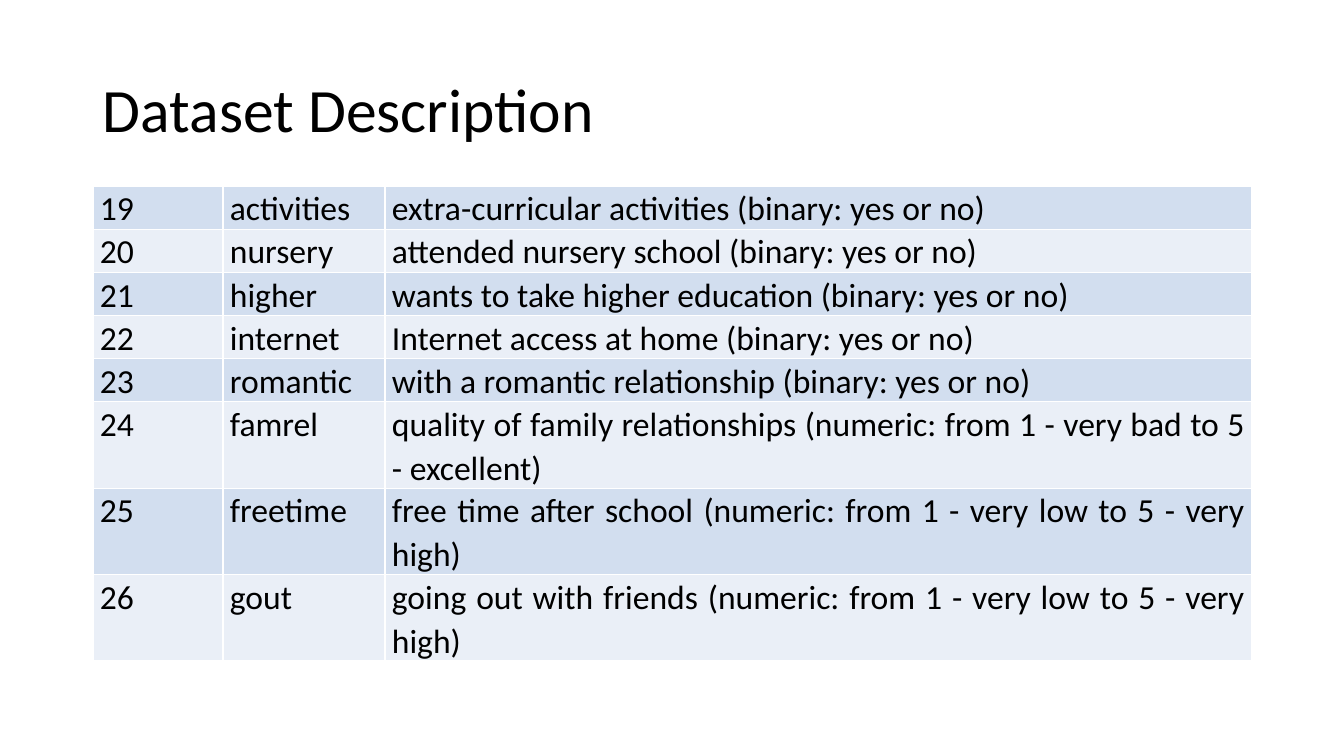
from lxml import etree
from pptx import Presentation
from pptx import util as u
from pptx.dml.color import RGBColor
from pptx.enum import text
from pptx.oxml.ns import qn

# Content
TITLE = "Dataset Description"
ATTRIBUTES = [
    ("19", "activities", "extra-curricular activities (binary: yes or no)"),
    ("20", "nursery", "attended nursery school (binary: yes or no)"),
    ("21", "higher", "wants to take higher education (binary: yes or no)"),
    ("22", "internet", "Internet access at home (binary: yes or no)"),
    ("23", "romantic", "with a romantic relationship (binary: yes or no)"),
    ("24", "famrel", "quality of family relationships (numeric: from 1 - very bad to 5 - excellent)"),
    ("25", "freetime", "free time after school (numeric: from 1 - very low to 5 - very high)"),
    ("26", "gout", "going out with friends (numeric: from 1 - very low to 5 - very high)"),
]

# Look and layout, lengths in px
FONT = "Calibri"
BLACK = RGBColor(0x00, 0x00, 0x00)
WHITE = RGBColor(0xFF, 0xFF, 0xFF)
BANDS = (RGBColor(0xD2, 0xDE, 0xEF), RGBColor(0xEA, 0xEF, 0xF7))
PAGE_WIDTH, PAGE_HEIGHT = 1344, 756
LEFT = 93
TITLE_TOP, TITLE_HEIGHT = 40, 146
TABLE_TOP = TITLE_TOP + TITLE_HEIGHT
COLUMN_WIDTHS = (130, 162, 867)
CONTENT_WIDTH = sum(COLUMN_WIDTHS)
ROW_HEIGHT = 33  # least height; rows grow with their text
CELL_INSET = 7


def px(length):
    return u.Emu(round(length * 914400 / 100.8))


def write(frame, words, size, spacing, alignment):
    para = frame.paragraphs[0]
    para.line_spacing = spacing
    para.alignment = alignment
    span = para.add_run()
    span.text = words
    span.font.name = FONT
    span.font.size = u.Pt(size)
    span.font.bold = False
    span.font.color.rgb = BLACK


def add_borders(cell):
    properties = cell._tc.get_or_add_tcPr()
    for side in ("lnL", "lnR", "lnT", "lnB"):
        line = etree.SubElement(properties, qn("a:" + side), w=str(u.Pt(1)))
        fill = etree.SubElement(line, qn("a:solidFill"))
        etree.SubElement(fill, qn("a:srgbClr"), val=str(WHITE))


deck = Presentation()
deck.slide_width, deck.slide_height = px(PAGE_WIDTH), px(PAGE_HEIGHT)
page = deck.slides.add_slide(deck.slide_layouts[6])

# Title
title_box = page.shapes.add_textbox(px(LEFT), px(TITLE_TOP), px(CONTENT_WIDTH), px(TITLE_HEIGHT))
title_box.text_frame.word_wrap = True
title_box.text_frame.vertical_anchor = text.MSO_ANCHOR.MIDDLE
write(title_box.text_frame, TITLE, 44, 0.9, text.PP_ALIGN.LEFT)

# Attribute table
table = page.shapes.add_table(
    len(ATTRIBUTES), len(COLUMN_WIDTHS), px(LEFT), px(TABLE_TOP),
    px(CONTENT_WIDTH), px(ROW_HEIGHT * len(ATTRIBUTES))).table
table.first_row = False
for column, width in zip(table.columns, COLUMN_WIDTHS):
    column.width = px(width)
for index, (row, attribute) in enumerate(zip(table.rows, ATTRIBUTES)):
    row.height = px(ROW_HEIGHT)
    for cell, words in zip(row.cells, attribute):
        cell.margin_left = cell.margin_right = px(CELL_INSET)
        cell.margin_top = cell.margin_bottom = 0
        add_borders(cell)
        cell.fill.solid()
        cell.fill.fore_color.rgb = BANDS[index % 2]
        write(cell.text_frame, words, 24, 1.07, text.PP_ALIGN.JUSTIFY)

deck.save("out.pptx")
